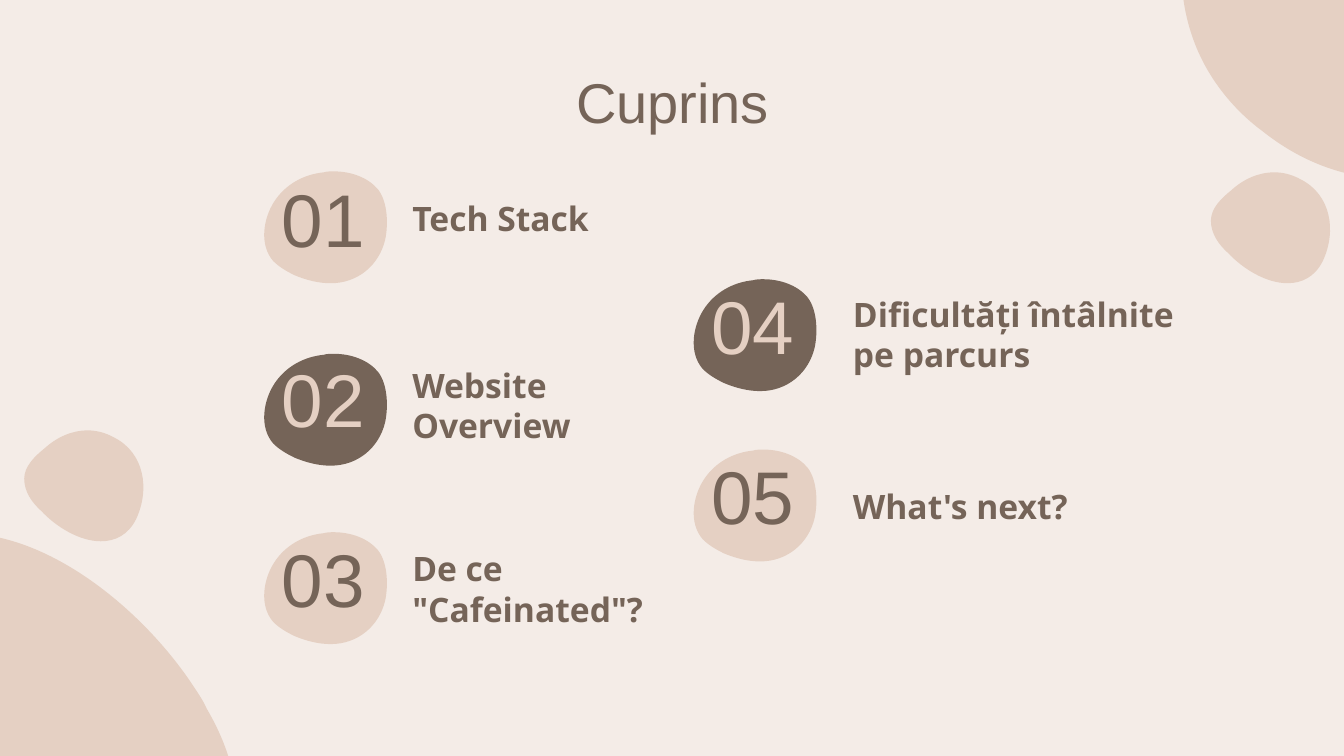
from lxml import etree
from pptx import Presentation
from pptx.dml.color import RGBColor
from pptx.enum.text import MSO_ANCHOR, PP_ALIGN
from pptx.oxml.ns import qn
from pptx.util import Inches, Pt

LEFT, CENTER = PP_ALIGN.LEFT, PP_ALIGN.CENTER
MIDDLE = MSO_ANCHOR.MIDDLE
COLORS = {"cream": "F4ECE7", "sand": "E5D0C3", "brown": "756458"}
SLIDE_W, SLIDE_H = 13.33, 7.5

# Outlines in inches from the shape's corner: a start point, then
# three points (two controls and an end) for every Bezier curve
CORNER_BLOB = [
    (0.88, 3.31),
    (1.01, 3.53), (1.19, 3.74), (1.42, 3.91),
    (2.25, 4.57), (3.22, 4.5), (4.1, 3.99),
    (4.49, 3.76), (4.93, 3.47), (5.01, 2.98),
    (5.07, 2.6), (4.93, 2.19), (4.73, 1.85),
    (4.7, 1.78), (4.66, 1.72), (4.62, 1.66),
    (3.9, 0.54), (2.18, -0.66), (1.15, 0.76),
    (0.58, 1.52), (0.43, 2.54), (0.88, 3.31),
]
PEBBLE = [
    (0.63, 0),
    (0.47, 0), (0.32, 0.07), (0.2, 0.18),
    (0.1, 0.26), (0, 0.36), (0, 0.48),
    (0, 0.61), (0.08, 0.72), (0.17, 0.8),
    (0.32, 0.96), (0.55, 1.1), (0.76, 1.1),
    (0.9, 1.1), (1.03, 1.04), (1.11, 0.88),
    (1.25, 0.58), (1.19, 0.22), (0.89, 0.07),
    (0.8, 0.02), (0.71, 0), (0.63, 0),
]
BADGE = [
    (0.74, 0),
    (0.71, 0), (0.67, 0), (0.64, 0.01),
    (0.44, 0.03), (0.26, 0.13), (0.15, 0.3),
    (0.04, 0.47), (0, 0.73), (0.14, 0.89),
    (0.2, 0.95), (0.27, 0.99), (0.35, 1.03),
    (0.47, 1.08), (0.59, 1.11), (0.71, 1.11),
    (0.98, 1.11), (1.19, 0.93), (1.25, 0.68),
    (1.28, 0.54), (1.28, 0.31), (1.18, 0.18),
    (1.08, 0.06), (0.91, 0), (0.74, 0),
]

# Columns: badge left, label left
COLUMN_1 = (2.57, 3.96)
COLUMN_2 = (6.83, 8.33)
# Column, badge top, badge colour, number colour, number drop,
# label, label drop, label width, label height (drops from the badge top)
ENTRIES = [
    (COLUMN_1, 1.7, "sand", "brown", 0.05, "Tech Stack", 0.26, 3.1, 0.4),
    (COLUMN_1, 3.51, "brown", "sand", 0.02, "Website Overview", 0.11, 3.1, 0.79),
    (COLUMN_1, 5.28, "sand", "brown", 0.04, 'De ce "Cafeinated"?', 0.16, 3.1, 0.8),
    (COLUMN_2, 2.77, "brown", "sand", 0.04, "Dificultăți întâlnite pe parcurs",
     -0.14, 3.61, 1.37),
    (COLUMN_2, 4.46, "sand", "brown", 0.04, "What's next?", 0.36, 3.1, 0.4),
]


def rgb(name):
    return RGBColor.from_string(COLORS[name])


def bend_lines(sp):
    """Turn every three straight segments into one Bezier curve."""
    path = next(sp._element.iter(qn("a:path")))
    lines = path.findall(qn("a:lnTo"))
    for i in range(0, len(lines), 3):
        curve = etree.Element(qn("a:cubicBezTo"))
        lines[i].addprevious(curve)
        for line in lines[i:i + 3]:
            curve.append(line[0])
            path.remove(line)


def add_blob(s, outline, left, top, color):
    points = [(Inches(left + x), Inches(top + y)) for x, y in outline]
    builder = s.shapes.build_freeform(*points[0])
    builder.add_line_segments(points[1:], close=True)
    sp = builder.convert_to_shape()
    bend_lines(sp)
    sp.shadow.inherit = False
    sp.fill.solid()
    sp.fill.fore_color.rgb = rgb(color)
    sp.line.fill.background()


def add_text(s, text, box, size, color, font="Arial", align=CENTER, bold=False):
    tf = s.shapes.add_textbox(*map(Inches, box)).text_frame
    tf.word_wrap = True
    tf.vertical_anchor = MIDDLE
    tf.margin_left = tf.margin_right = Inches(0.13)
    tf.margin_top = tf.margin_bottom = Inches(0.13)
    tf.text = text
    p = tf.paragraphs[0]
    p.alignment = align
    r = p.runs[0]
    r.font.name, r.font.size, r.font.bold = font, Pt(size), bold
    r.font.color.rgb = rgb(color)


def add_decoration(s):
    for outline, left, top in ((CORNER_BLOB, -2.68, 5.18),
                               (CORNER_BLOB, 11.1, -2.61),
                               (PEBBLE, 0.24, 4.27),
                               (PEBBLE, 12.01, 1.71)):
        add_blob(s, outline, left, top, "sand")


def add_entry(s, number, entry):
    (left, label_left), top, fill, ink, number_drop, label, drop, width, height = entry
    add_blob(s, BADGE, left, top, fill)
    add_text(s, f"{number:02}", (left + 0.05, top + number_drop, 1.17, 0.82),
             53.3, ink)
    add_text(s, label, (label_left, top + drop, width, height), 24, "brown",
             font="Open Sans", align=LEFT, bold=True)


def main():
    prs = Presentation()
    prs.slide_width, prs.slide_height = Inches(SLIDE_W), Inches(SLIDE_H)
    s = prs.slides.add_slide(prs.slide_layouts[6])
    s.background.fill.solid()
    s.background.fill.fore_color.rgb = rgb("cream")

    add_decoration(s)
    add_text(s, "Cuprins", (1.13, 0.79, 11.08, 0.43), 40, "brown")
    for number, entry in enumerate(ENTRIES, start=1):
        add_entry(s, number, entry)
    prs.save("out.pptx")


if __name__ == "__main__":
    main()
